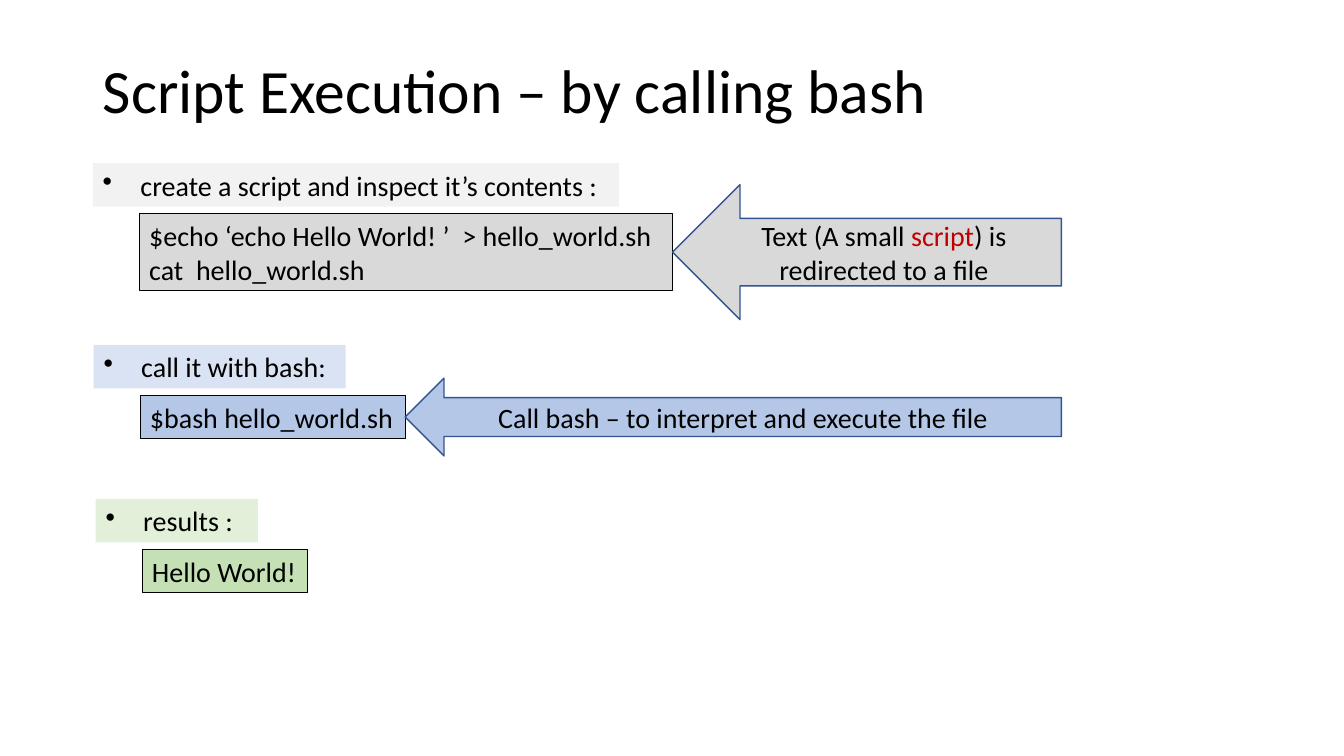
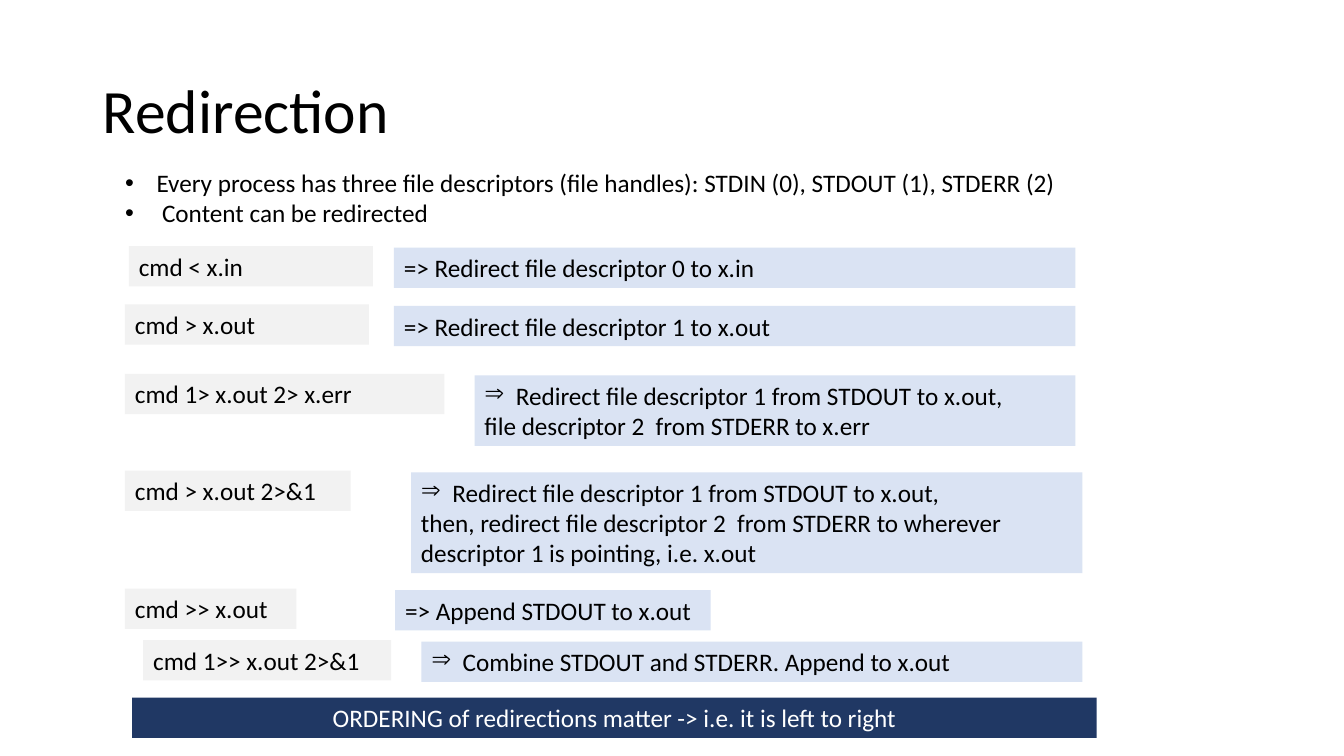
import pptx
import pptx.util
import pptx.dml.color
import pptx.enum.shapes
import pptx.enum.text
import pptx.oxml.ns
from lxml import etree

Cm = pptx.util.Cm
Pt = pptx.util.Pt
RGBColor = pptx.dml.color.RGBColor
SHAPES = pptx.enum.shapes.MSO_SHAPE
ALIGN = pptx.enum.text.PP_ALIGN
ANCHOR = pptx.enum.text.MSO_ANCHOR
AUTO_SIZE = pptx.enum.text.MSO_AUTO_SIZE

BLACK = RGBColor(0x00, 0x00, 0x00)
WHITE = RGBColor(0xFF, 0xFF, 0xFF)
PALE_GRAY = RGBColor(0xF2, 0xF2, 0xF2)
GRAY = RGBColor(0xD9, 0xD9, 0xD9)
PALE_BLUE = RGBColor(0xDA, 0xE3, 0xF3)
BLUE = RGBColor(0xB4, 0xC7, 0xE7)
PALE_GREEN = RGBColor(0xE2, 0xF0, 0xD9)
GREEN = RGBColor(0xC5, 0xE0, 0xB4)
NAVY = RGBColor(0x20, 0x38, 0x64)
ARROW_EDGE = RGBColor(0x32, 0x54, 0x91)
RED = RGBColor(0xC0, 0x00, 0x00)

FONT = "Calibri"
STEP_SIZE = 20
NOTE_SIZE = 18
BULLET_INDENT = 0.79
ARROW_RIGHT = 26.75


def format_text(frame, size, color=BLACK, align=ALIGN.LEFT):
    for paragraph in frame.paragraphs:
        paragraph.alignment = align
        for run in paragraph.runs:
            run.font.name = FONT
            run.font.size = Pt(size)
            run.font.color.rgb = color


def add_bullet(paragraph, char, indent=BULLET_INDENT):
    properties = paragraph._p.get_or_add_pPr()
    properties.set("marL", str(Cm(indent)))
    properties.set("indent", str(-Cm(indent)))
    bullet = etree.SubElement(properties, pptx.oxml.ns.qn("a:buChar"))
    bullet.set("char", char)


def place(part, left, top, width, height):
    part.left, part.top = Cm(left), Cm(top)
    part.width, part.height = Cm(width), Cm(height)


def add_title(slide, text, top):
    title = slide.shapes.title
    place(title, 2.34, top, 29.21, 3.68)
    frame = title.text_frame
    frame.text = text
    frame.auto_size = AUTO_SIZE.NONE
    frame.vertical_anchor = ANCHOR.MIDDLE
    frame.paragraphs[0].line_spacing = 0.9
    format_text(frame, 44)


def box_height(line_count, size):
    return 0.25 + 0.0425 * size * line_count


def add_filled(shapes, kind, left, top, width, height, fill, edge, edge_width):
    shape = shapes.add_shape(kind, Cm(left), Cm(top), Cm(width), Cm(height))
    shape.shadow.inherit = False
    shape.fill.solid()
    shape.fill.fore_color.rgb = fill
    if edge is None:
        shape.line.fill.background()
    else:
        shape.line.color.rgb = edge
        shape.line.width = Pt(edge_width)
    shape.text_frame.word_wrap = True
    return shape


def add_box(shapes, left, top, width, text, size, fill, edge=None, color=BLACK,
            align=ALIGN.LEFT, line_count=None, bullet=None, indent=BULLET_INDENT):
    height = box_height(line_count or len(text.split("\n")), size)
    box = add_filled(shapes, SHAPES.RECTANGLE, left, top, width, height, fill, edge, 0.75)
    frame = box.text_frame
    frame.vertical_anchor = ANCHOR.TOP
    if align == ALIGN.LEFT:
        frame.margin_right = 0
    frame.text = text
    if bullet:
        add_bullet(frame.paragraphs[0], bullet, indent)
    format_text(frame, size, color, align)


def add_step(slide, left, top, label, label_width, code, code_width, tint, fill):
    add_box(slide.shapes, left, top, label_width, label, STEP_SIZE, tint,
            bullet="•", indent=0.95)
    code_left, code_top = left + 1.17, top + 1.27
    add_box(slide.shapes, code_left, code_top, code_width, code, STEP_SIZE, fill, edge=BLACK)
    middle = code_top + box_height(len(code.split("\n")), STEP_SIZE) / 2
    return code_left + code_width, middle


def add_callout(slide, tip, height, fill, parts):
    left, middle = tip
    arrow = add_filled(slide.shapes, SHAPES.LEFT_ARROW, left, middle - height / 2,
                       ARROW_RIGHT - left, height, fill, ARROW_EDGE, 1)
    frame = arrow.text_frame
    frame.vertical_anchor = ANCHOR.MIDDLE
    for part, _ in parts:
        frame.paragraphs[0].add_run().text = part
    format_text(frame, STEP_SIZE, align=ALIGN.CENTER)
    for run, (_, color) in zip(frame.paragraphs[0].runs, parts):
        run.font.color.rgb = color


def add_redirection(slide, left, top, command_width, command,
                    meaning_left, meaning_width, meaning, line_count=1, bullet=None):
    pair = slide.shapes.add_group_shape().shapes
    add_box(pair, left, top, command_width, command, NOTE_SIZE, PALE_GRAY)
    add_box(pair, meaning_left, top + 0.04, meaning_width, meaning, NOTE_SIZE, PALE_BLUE,
            line_count=line_count, bullet=bullet)


def add_facts(slide, facts):
    body = slide.placeholders[1]
    place(body, 2.9, 4.09, 24.38, 1.8)
    frame = body.text_frame
    frame.text = "\n".join(text for text, _ in facts)
    frame.auto_size = AUTO_SIZE.NONE
    for paragraph, (_, indent) in zip(frame.paragraphs, facts):
        add_bullet(paragraph, "•", indent)
        paragraph.space_before = Pt(0)
    format_text(frame, NOTE_SIZE)


def build_execution(deck):
    slide = deck.slides.add_slide(deck.slide_layouts[5])
    add_title(slide, "Script Execution – by calling bash", 0.51)
    create_tip = add_step(
        slide, 2.34, 4.11, "create a script and inspect it’s contents :", 13.26,
        "$echo ‘echo Hello World! ’  > hello_world.sh\ncat  hello_world.sh", 13.44,
        PALE_GRAY, GRAY)
    call_tip = add_step(slide, 2.36, 8.69, "call it with bash:", 6.35,
                        "$bash hello_world.sh", 6.68, PALE_BLUE, BLUE)
    add_step(slide, 2.41, 12.57, "results :", 4.09, "Hello World!", 4.17, PALE_GREEN, GREEN)
    add_callout(slide, create_tip, 3.4, GRAY, [
        ("Text (A small ", BLACK), ("script", RED), (") is redirected to a file", BLACK)])
    add_callout(slide, call_tip, 1.96, BLUE, [
        ("Call bash – to interpret and execute the file", BLACK)])


def build_redirection(deck):
    slide = deck.slides.add_slide(deck.slide_layouts[1])
    add_title(slide, "Redirection", 1.02)
    add_facts(slide, [
        ("Every process has three file descriptors (file handles): "
         "STDIN (0), STDOUT (1), STDERR (2)", BULLET_INDENT),
        ("Content can be redirected", 0.93),
    ])
    redirections = [
        (3.25, 6.2, 6.15, "cmd < x.in",
         9.93, 17.17, "=> Redirect file descriptor 0 to x.in"),
        (3.15, 7.67, 6.15, "cmd > x.out",
         9.93, 17.17, "=> Redirect file descriptor 1 to x.out"),
        (3.15, 9.42, 8.05, "cmd 1> x.out 2> x.err", 11.96, 15.14,
         "Redirect file descriptor 1 from STDOUT to x.out,\n"
         "file descriptor 2  from STDERR to x.err", 2, "⇒"),
        (3.15, 11.86, 5.69, "cmd > x.out 2>&1", 10.36, 16.92,
         "Redirect file descriptor 1 from STDOUT to x.out,\n"
         "then, redirect file descriptor 2  from STDERR to wherever "
         "descriptor 1 is pointing, i.e. x.out", 3, "⇒"),
        (3.15, 14.83, 4.32, "cmd >> x.out",
         9.96, 7.95, "=> Append STDOUT to x.out"),
        (3.61, 16.13, 6.25, "cmd 1>> x.out 2>&1", 10.62, 16.66,
         "Combine STDOUT and STDERR. Append to x.out", 1, "⇒"),
    ]
    for redirection in redirections:
        add_redirection(slide, *redirection)
    add_box(slide.shapes, 3.33, 17.58, 24.31,
            "ORDERING of redirections matter -> i.e. it is left to right",
            NOTE_SIZE, NAVY, color=WHITE, align=ALIGN.CENTER)


def main():
    deck = pptx.Presentation()
    deck.slide_width, deck.slide_height = Cm(33.87), Cm(19.05)
    build_execution(deck)
    build_redirection(deck)
    deck.save("out.pptx")


if __name__ == "__main__":
    main()
